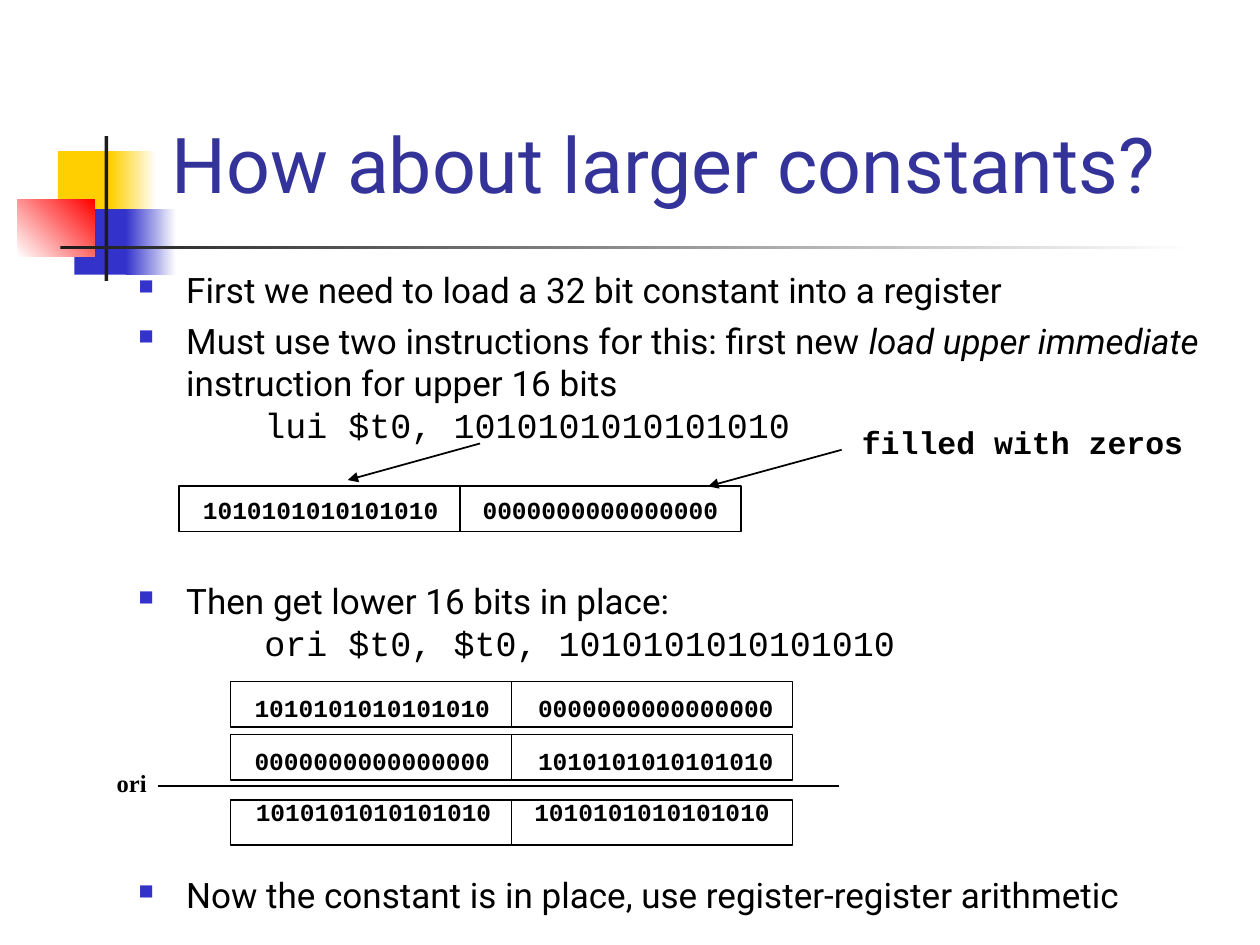
from lxml import etree
from pptx import Presentation
from pptx.dml.color import RGBColor
from pptx.enum import shapes, text
from pptx.oxml import ns
from pptx.util import Inches, Pt

BLACK = RGBColor(0, 0, 0)
WHITE = RGBColor(0xFF, 0xFF, 0xFF)
CHARCOAL = RGBColor(0x1C, 0x1C, 0x1C)
YELLOW = RGBColor(0xFF, 0xCF, 0x01)
RED = RGBColor(0xFF, 0, 0)
BLUE = RGBColor(0x33, 0x33, 0xCC)
TITLE_BLUE = RGBColor(0x33, 0x33, 0x99)

BODY_FONT = {"name": "Roboto", "size": Pt(20)}
CODE_FONT = {"name": "Courier New", "size": Pt(20)}
BITS_FONT = {"name": "Courier New", "size": Pt(14), "bold": True}
LABEL_FONT = {"name": "Courier New", "size": Pt(18), "bold": True}
OPERATOR_FONT = {"name": "Times New Roman", "size": Pt(14), "bold": True}
TITLE_FONT = {"name": "Roboto", "size": Pt(44)}

CELL_WIDTH, CELL_HEIGHT = 2.23, 0.36
PATTERN = "10" * 8
ZEROS = "0" * 16

DECORATIONS = [
    ((0.46, 1.2, 0.48, 0.52), [YELLOW], 0),
    ((0.88, 1.2, 0.36, 0.52), [YELLOW, WHITE], 0),
    ((0.59, 1.66, 0.46, 0.52), [BLUE], 0),
    ((1, 1.66, 0.4, 0.52), [BLUE, WHITE], 0),
    ((0.14, 1.58, 0.61, 0.46), [WHITE, RED], 45),
    ((0.83, 1.08, 0.03, 1.15), [CHARCOAL], 0),
    ((0.48, 1.95, 9, 0.03), [CHARCOAL, WHITE], 0),
]

BULLETS = [
    (0, [("First we need to load a 32 bit constant into a register", BODY_FONT)]),
    (5, [("Must use two instructions for this: first new ", BODY_FONT),
         ("load upper immediate", {**BODY_FONT, "italic": True}),
         (" instruction for upper 16 bits\n\t", BODY_FONT),
         (f"lui $t0, {PATTERN}", CODE_FONT)]),
    (77, [("Then get lower 16 bits in place:\n\t", BODY_FONT),
          (f"ori $t0, $t0, {PATTERN}", CODE_FONT)]),
    (120, [("Now the constant is in place, use register-register arithmetic", BODY_FONT)]),
]

REGISTERS = [
    (1.42, 3.86, 3.84, (0.17, 2.39), (PATTERN, ZEROS)),
    (1.83, 5.41, 5.41, (0.17, 2.42), (PATTERN, ZEROS)),
    (1.83, 5.83, 5.83, (0.17, 2.42), (ZEROS, PATTERN)),
    (1.83, 6.35, 6.24, (0.18, 2.39), (PATTERN, PATTERN)),
]


def apply(target, values):
    for name, value in values.items():
        setattr(target, name, value)


def add_run(paragraph, wording, font, color=BLACK):
    for index, line in enumerate(wording.split("\n")):
        if index:
            paragraph.add_line_break()
        run = paragraph.add_run()
        run.text = line
        apply(run.font, font)
        run.font.color.rgb = color


def add_rectangle(slide, box):
    shape = slide.shapes.add_shape(shapes.MSO_SHAPE.RECTANGLE, *map(Inches, box))
    shape.shadow.inherit = False
    return shape


def add_decoration(slide, box, colors, angle):
    shape = add_rectangle(slide, box)
    shape.line.fill.background()
    if len(colors) == 1:
        shape.fill.solid()
        shape.fill.fore_color.rgb = colors[0]
        return
    shape.fill.gradient()
    shape.fill.gradient_angle = angle
    for stop, color in zip(shape.fill.gradient_stops, colors):
        stop.color.rgb = color


def add_title(slide, wording):
    title = slide.shapes.title
    apply(title, {"left": Inches(1.26), "top": Inches(0.67),
                  "width": Inches(8.52), "height": Inches(1.25)})
    apply(title.text_frame, {"vertical_anchor": text.MSO_ANCHOR.MIDDLE,
                             "auto_size": text.MSO_AUTO_SIZE.NONE})
    paragraph = title.text_frame.paragraphs[0]
    paragraph.alignment = text.PP_ALIGN.LEFT
    add_run(paragraph, wording, TITLE_FONT, TITLE_BLUE)


def format_bullet(paragraph):
    properties = paragraph._p.get_or_add_pPr()
    properties.set("marL", str(Inches(0.38)))
    properties.set("indent", str(-Inches(0.38)))

    def add(parent, tag, **attributes):
        return etree.SubElement(parent, ns.qn(f"a:{tag}"), **attributes)

    add(add(properties, "buClr"), "srgbClr", val=str(BLUE))
    add(properties, "buSzPct", val="60000")
    add(properties, "buChar", char="■")
    add(add(properties, "tabLst"), "tab", pos=str(Inches(1)), algn="l")


def add_bullets(slide):
    frame = slide.shapes.add_textbox(*map(Inches, (1, 2.08, 9, 5.42))).text_frame
    frame.word_wrap = True
    for index, (space, runs) in enumerate(BULLETS):
        paragraph = frame.add_paragraph() if index else frame.paragraphs[0]
        format_bullet(paragraph)
        if space:
            paragraph.space_before = Pt(space)
        for wording, font in runs:
            add_run(paragraph, wording, font)


def add_label(slide, box, wording, font, spacing, alignment=text.PP_ALIGN.LEFT):
    frame = slide.shapes.add_textbox(*map(Inches, box)).text_frame
    apply(frame, {"word_wrap": True,
                  "margin_left": Inches(0.02), "margin_right": Inches(0.02),
                  "margin_top": Inches(0.03), "margin_bottom": Inches(0.03)})
    paragraph = frame.paragraphs[0]
    apply(paragraph, {"line_spacing": Pt(spacing), "alignment": alignment})
    add_run(paragraph, wording, font)


def add_register(slide, left, top, text_top, offsets, halves):
    for index, (offset, bits) in enumerate(zip(offsets, halves)):
        cell = add_rectangle(
            slide, (left + index * CELL_WIDTH, top, CELL_WIDTH, CELL_HEIGHT))
        cell.fill.background()
        apply(cell.line, {"width": Pt(1)})
        cell.line.color.rgb = BLACK
        add_label(slide, (left + offset, text_top, 2.22, 0.59), bits, BITS_FONT, 21)


def add_line(slide, start, end, arrow=False):
    connector = slide.shapes.add_connector(
        shapes.MSO_CONNECTOR.STRAIGHT, *map(Inches, (*start, *end)))
    connector.line.width = Pt(1)
    connector.line.color.rgb = BLACK
    if arrow:
        etree.SubElement(connector.line._get_or_add_ln(), ns.qn("a:tailEnd"), type="triangle")
    etree.SubElement(connector._element.spPr, ns.qn("a:effectLst"))


def main():
    presentation = Presentation()
    apply(presentation, {"slide_width": Inches(10), "slide_height": Inches(7.5)})
    slide = presentation.slides.add_slide(presentation.slide_layouts[5])
    for decoration in DECORATIONS:
        add_decoration(slide, *decoration)
    add_title(slide, "How about larger constants?")
    add_bullets(slide)
    for register in REGISTERS:
        add_register(slide, *register)
    add_line(slide, (3.81, 3.52), (2.76, 3.81), arrow=True)
    add_line(slide, (6.68, 3.57), (5.62, 3.86), arrow=True)
    add_line(slide, (1.25, 6.24), (6.66, 6.24))
    add_label(slide, (6.82, 3.25, 2.9, 0.67), "filled with zeros", LABEL_FONT, 27)
    add_label(slide, (0.42, 6.08, 1.25, 0.36), "ori", OPERATOR_FONT, 16,
              text.PP_ALIGN.CENTER)
    presentation.save("out.pptx")


if __name__ == "__main__":
    main()
